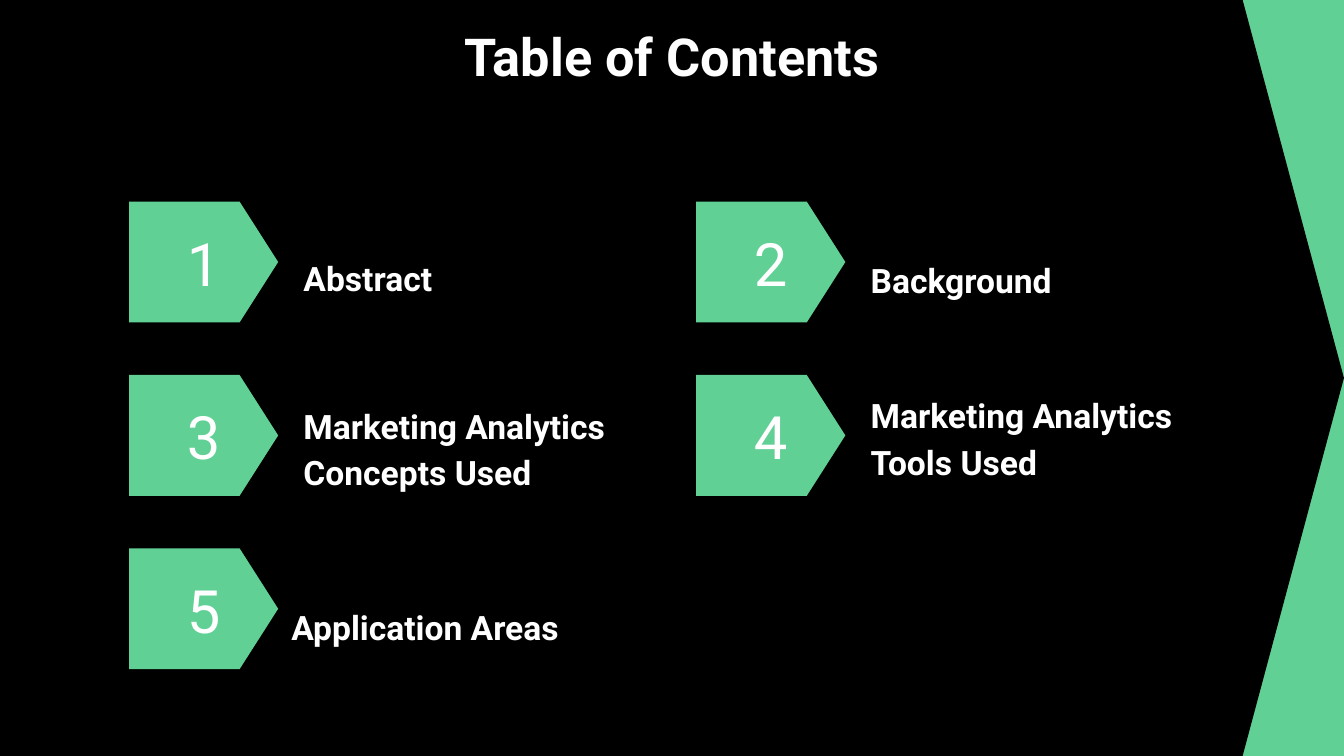
import pptx
import pptx.dml.color
import pptx.enum.shapes
import pptx.enum.text
import pptx.util

WIDTH = 10
HEIGHT = WIDTH * 9 / 16
GREEN, BLACK, WHITE = "61D095", "000000", "FFFFFF"
FONT = "Roboto"
COLUMN_LEFT, COLUMN_STEP = 0.96, 4.22
ROW_TOP, ROW_STEP = 1.5, 1.29
TAG_WIDTH, TAG_HEIGHT = 1.11, 0.9
NUMBER_SIZE = 0.63
LABEL_WIDTH, LABEL_HEIGHT = 2.6, 0.4

ENTRIES = [
    ("Abstract", 1.2, 0.35),
    ("Background", 1.2, 0.36),
    ("Marketing Analytics Concepts Used", 1.2, 0.33),
    ("Marketing Analytics Tools Used", 1.2, 0.25),
    ("Application Areas", 1.11, 0.36),
]


def inches(*lengths):
    return [pptx.util.Inches(length) for length in lengths]


def paint(fill, color):
    fill.solid()
    fill.fore_color.rgb = pptx.dml.color.RGBColor.from_string(color)


def add_pentagon(slide, box, point, color):
    pentagon = slide.shapes.add_shape(
        pptx.enum.shapes.MSO_SHAPE.PENTAGON, *inches(*box))
    pentagon.adjustments[0] = point
    pentagon.shadow.inherit = False
    paint(pentagon.fill, color)
    pentagon.line.fill.background()


def write(holder, text, size, bold, align, anchor):
    frame = holder.text_frame
    frame.word_wrap = True
    frame.auto_size = pptx.enum.text.MSO_AUTO_SIZE.NONE
    frame.vertical_anchor = anchor
    margin = pptx.util.Inches(0.1)
    frame.margin_left = frame.margin_right = margin
    frame.margin_top = frame.margin_bottom = margin
    paragraph = frame.paragraphs[0]
    paragraph.alignment = align
    run = paragraph.add_run()
    run.text = text
    run.font.name = FONT
    run.font.size = pptx.util.Pt(size)
    run.font.bold = bold
    paint(run.font.fill, WHITE)
    return paragraph


def place_title(slide, text):
    title = slide.shapes.title
    title.left, title.top, title.width, title.height = inches(
        0.78, 0.08, 8.44, 0.63)
    write(title, text, 28, True, pptx.enum.text.PP_ALIGN.CENTER,
          pptx.enum.text.MSO_ANCHOR.TOP)


def add_entry(slide, index, label, label_dx, label_dy):
    row, column = divmod(index, 2)
    left = COLUMN_LEFT + column * COLUMN_STEP
    top = ROW_TOP + row * ROW_STEP
    middle = pptx.enum.text.MSO_ANCHOR.MIDDLE

    add_pentagon(slide, (left, top, TAG_WIDTH, TAG_HEIGHT), 0.319, GREEN)

    number = slide.shapes.add_textbox(
        *inches(left + 0.24, top + 0.14, NUMBER_SIZE, NUMBER_SIZE))
    write(number, str(index + 1), 32, False,
          pptx.enum.text.PP_ALIGN.CENTER, middle)

    caption = slide.shapes.add_textbox(
        *inches(left + label_dx, top + label_dy, LABEL_WIDTH, LABEL_HEIGHT))
    paragraph = write(caption, label, 18, True,
                      pptx.enum.text.PP_ALIGN.LEFT, middle)
    paragraph.line_spacing = 1.15
    paragraph.space_after = pptx.util.Pt(16)


def main():
    presentation = pptx.Presentation()
    presentation.slide_width, presentation.slide_height = inches(WIDTH, HEIGHT)
    slide = presentation.slides.add_slide(presentation.slide_layouts[5])
    paint(slide.background.fill, GREEN)
    add_pentagon(slide, (0, 0, WIDTH, HEIGHT), 0.134, BLACK)
    title = slide.shapes.title.element
    title.getparent().append(title)
    place_title(slide, "Table of Contents")
    for index, entry in enumerate(ENTRIES):
        add_entry(slide, index, *entry)
    presentation.save("out.pptx")


if __name__ == "__main__":
    main()
